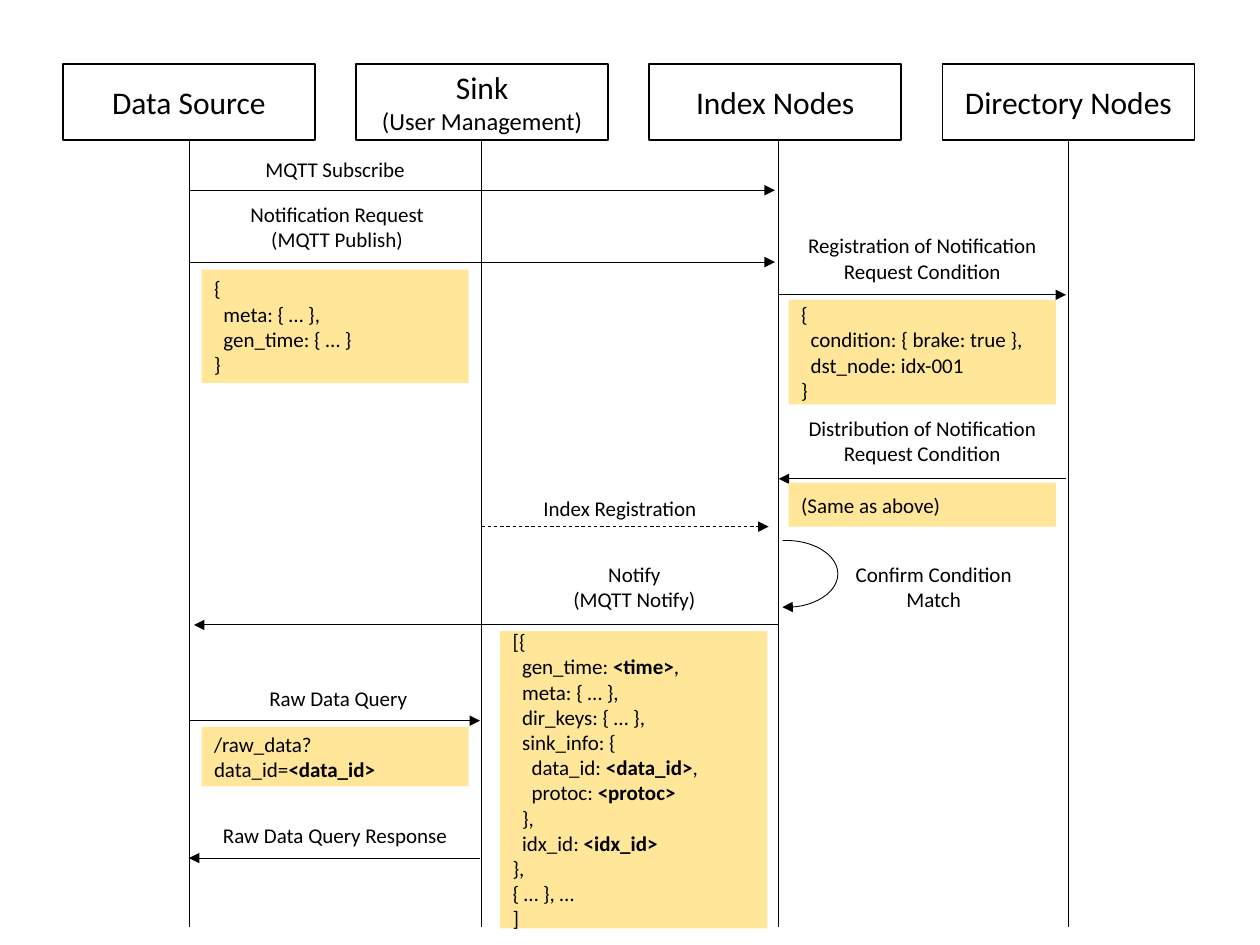
from lxml import etree
from pptx import Presentation
from pptx import util as u
from pptx.dml.color import RGBColor
from pptx.enum import dml, shapes, text
from pptx.oxml.ns import qn

BLACK = RGBColor(0x00, 0x00, 0x00)
WHEAT = RGBColor(0xFF, 0xE6, 0x99)
FONT = "Calibri"
CODE_INDENT = 0.075


class SequenceDiagram:
    def __init__(self, slide):
        self.shapes = slide.shapes

    def style(self, paragraph, size, align):
        paragraph.alignment = align
        for run in paragraph.runs:
            run.font.size = u.Pt(size)
            run.font.name = FONT
            run.font.color.rgb = BLACK

    def stroke(self, line, arrow=False, dashed=False):
        line.color.rgb = BLACK
        line.width = u.Pt(0.5)
        if dashed:
            line.dash_style = dml.MSO_LINE.DASH
        if arrow:
            etree.SubElement(line._get_or_add_ln(), qn("a:tailEnd"), type="triangle")

    def rectangle(self, left, top, width, height):
        box = self.shapes.add_shape(shapes.MSO_SHAPE.RECTANGLE, *map(u.Inches, (left, top, width, height)))
        box.shadow.inherit = False
        box.text_frame.vertical_anchor = text.MSO_ANCHOR.MIDDLE
        return box

    def participant(self, left, name):
        box = self.rectangle(left, 0.51, 2, 0.6)
        box.fill.background()
        box.line.color.rgb = BLACK
        box.line.width = u.Pt(1)
        box.text_frame.text = name
        for paragraph, size in zip(box.text_frame.paragraphs, (18, 14)):
            self.style(paragraph, size, text.PP_ALIGN.CENTER)

    def line(self, x1, y1, x2, y2, **look):
        line = self.shapes.add_connector(
            shapes.MSO_CONNECTOR.STRAIGHT, *map(u.Inches, (x1, y1, x2, y2)))
        self.stroke(line.line, **look)
        etree.SubElement(line._element.spPr, qn("a:effectLst"))

    def label(self, left, top, width, caption, wrap=True):
        height = 0.3 if wrap is False or len(caption) < 20 and "\n" not in caption else 0.5
        box = self.shapes.add_textbox(*map(u.Inches, (left, top, width, height)))
        frame = box.text_frame
        frame.word_wrap = wrap
        frame.auto_size = text.MSO_AUTO_SIZE.SHAPE_TO_FIT_TEXT
        frame.text = caption
        for paragraph in frame.paragraphs:
            self.style(paragraph, 12, text.PP_ALIGN.CENTER)

    def payload(self, left, top, height, code):
        """Code box: leading spaces become indents, <fields> become bold."""
        box = self.rectangle(left, top, 2.12, height)
        box.fill.solid()
        box.fill.fore_color.rgb = WHEAT
        box.line.fill.background()
        frame = box.text_frame
        for number, row in enumerate(code):
            paragraph = frame.add_paragraph() if number else frame.paragraphs[0]
            body = row.lstrip()
            depth = (len(row) - len(body)) // 2
            if depth:
                paragraph._p.get_or_add_pPr().set("marL", str(u.Inches(depth * CODE_INDENT)))
            before, opening, rest = body.partition("<")
            field, closing, after = rest.partition(">")
            for part, bold in ((before, False), (opening + field + closing, True), (after, False)):
                if part:
                    run = paragraph.add_run()
                    run.text = part
                    run.font.bold = bold
            self.style(paragraph, 12, text.PP_ALIGN.LEFT)

    def self_call(self, left, top, width, height):
        arc = self.shapes.add_shape(shapes.MSO_SHAPE.ARC, *map(u.Inches, (left, top, width, height)))
        arc.shadow.inherit = False
        arc.fill.background()
        # Angles in units of 5/3 degree: from the top clockwise to the bottom
        arc.adjustments[0] = 158.24
        arc.adjustments[1] = 57.93
        self.stroke(arc.line, arrow=True)


deck = Presentation()
deck.slide_width, deck.slide_height = u.Inches(10), u.Inches(7.5)
diagram = SequenceDiagram(deck.slides.add_slide(deck.slide_layouts[6]))

# Participants and their lifelines
SOURCE, SINK, INDEX, DIRECTORY = 1.5, 3.82, 6.18, 8.48
participants = ["Data Source", "Sink\n(User Management)", "Index Nodes", "Directory Nodes"]
for column, name in enumerate(participants):
    diagram.participant(0.5 + column * 6.98 / 3, name)
for lifeline in (SOURCE, SINK, INDEX, DIRECTORY):
    diagram.line(lifeline, 1.11, lifeline, 7.36)

# Messages: start, end, height
messages = [
    (SOURCE, 6.15, 1.51), (SOURCE, 6.15, 2.08), (INDEX, 1.54, 4.96),
    (SOURCE, 3.81, 5.72), (3.81, SOURCE, 6.81),
    (INDEX, 8.46, 2.34), (8.46, INDEX, 3.8),
]
for start, end, y in messages:
    diagram.line(start, y, end, y, arrow=True)
diagram.line(SINK, 4.18, 6.1, 4.18, arrow=True, dashed=True)
diagram.self_call(5.83, 4.29, 0.82, 0.53)

# Payloads
payloads = [
    (1.6, 2.14, 0.9, ["{", "  meta: { … },", "  gen_time: { … }", "}"]),
    (3.97, 5.01, 2.36, [
        "[{",
        "  gen_time: <time>,",
        "  meta: { … },",
        "  dir_keys: { … },",
        "  sink_info: {",
        "    data_id: <data_id>,",
        "    protoc: <protoc>",
        "  },",
        "  idx_id: <idx_id>",
        "},",
        "{ … }, …",
        "]",
    ]),
    (1.6, 5.77, 0.47, ["/raw_data?data_id=<data_id>"]),
    (6.26, 2.38, 0.83, ["{", "  condition: { brake: true },", "  dst_node: idx-001", "}"]),
    (6.26, 3.83, 0.35, ["(Same as above)"]),
]
for payload in payloads:
    diagram.payload(*payload)

# Message labels
labels = [
    (2, 1.19, 1.32, "MQTT Subscribe"),
    (1.8, 1.55, 1.75, "Notification Request\n(MQTT Publish)"),
    (4.06, 4.41, 1.95, "Notify\n(MQTT Notify)"),
    (2.03, 5.39, 1.31, "Raw Data Query", False),
    (1.66, 6.48, 2, "Raw Data Query Response", False),
    (6.26, 1.8, 2.12, "Registration of Notification Request Condition"),
    (6.26, 3.25, 2.12, "Distribution of Notification Request Condition"),
    (3.86, 3.88, 2.12, "Index Registration"),
    (6.65, 4.41, 1.52, "Confirm Condition Match"),
]
for label in labels:
    diagram.label(*label)

deck.save("out.pptx")
